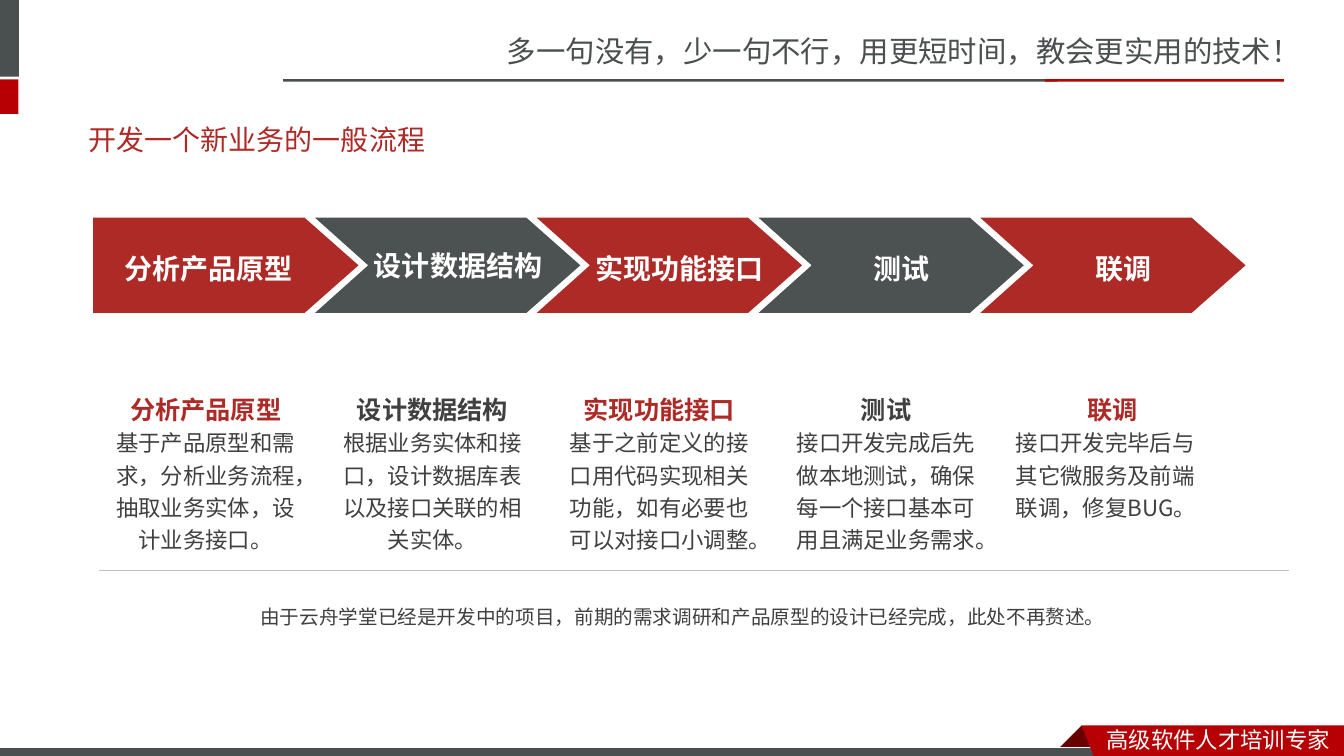
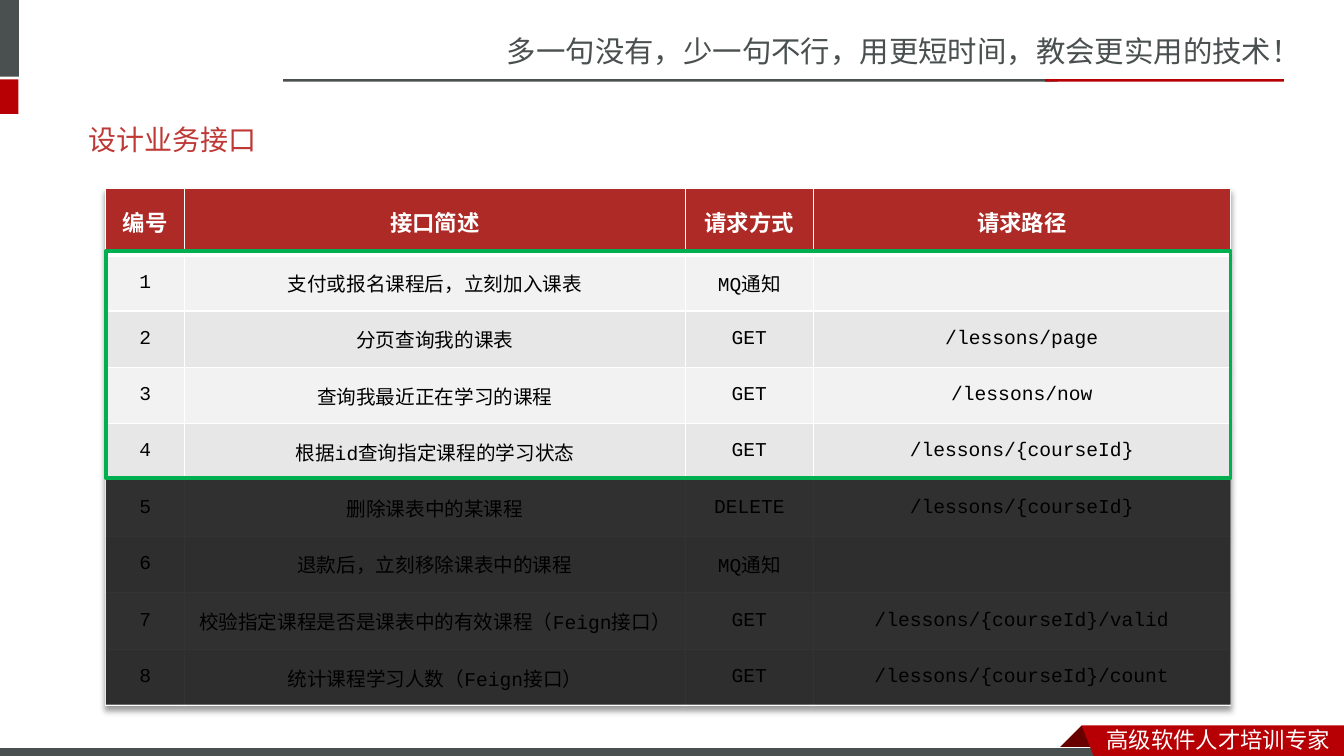
import dataclasses
import typing

import lxml.etree
import pptx
import pptx.dml.color
import pptx.enum.lang
import pptx.enum.shapes
import pptx.enum.text
import pptx.oxml.ns
import pptx.util

Pt = pptx.util.Pt
qn = pptx.oxml.ns.qn
ALIGN = pptx.enum.text.PP_ALIGN
ANCHOR = pptx.enum.text.MSO_ANCHOR

RED, GRAY, INK = "AD2A26", "4C5252", "404040"
SLATE, CRIMSON, MAROON = "49504F", "B60004", "680000"
WHITE, BLACK, SILVER, GREEN = "FFFFFF", "000000", "BFBFBF", "00B050"
PALE, DIM = "F2F2F2", "E7E7E7"
SC, JP, LATO, MONO = "Noto Sans CJK SC", "Noto Sans CJK JP", "Lato", "Courier New"


class Box(typing.NamedTuple):
    left: float
    top: float
    width: float
    height: float

    def emu(self) -> list[int]:
        return [Pt(side) for side in self]


class Bar(typing.NamedTuple):
    box: Box
    fill: str
    line: str | None = None


@dataclasses.dataclass
class Step:
    name: str
    note: str
    align: typing.Any = ALIGN.CENTER
    space: float = 1.2


class Call(typing.NamedTuple):
    brief: str
    verb: str
    route: str = ""


BARS = [
    Bar(Box(-4.5, 0, 18, 54.8), SLATE),
    Bar(Box(-4.5, 56.8, 17.6, 24.6), CRIMSON),
    Bar(Box(202.3, 56.6, 553, 1.7), SLATE),
    Bar(Box(746.5, 56.6, 170.5, 1.7), CRIMSON),
]
FOOT = Bar(Box(-0.7, 533.6, 792, 8.6), SLATE, WHITE)
FOLD = [(772.6, 518.2), (788.4, 534.2), (787.7, 535), (757.4, 535), (756.7, 534.2)]
RIBBON = [(772.6, 518.2), (960, 518.2), (960, 542.8), (782, 542.2)]

STEPS = [
    Step("分析产品原型", "基于产品原型和需求，分析业务流程，抽取业务实体，设计业务接口。"),
    Step("设计数据结构", "根据业务实体和接口，设计数据库表以及接口关联的相关实体。", space=1),
    Step("实现功能接口", "基于之前定义的接口用代码实现相关功能，如有必要也可以对接口小调整。"),
    Step("测试", "接口开发完成后先做本地测试，确保每一个接口基本可用且满足业务需求。"),
    Step("联调", "接口开发完毕后与其它微服务及前端联调，修复BUG。", ALIGN.LEFT),
]

HEADS = ["编号", "接口简述", "请求方式", "请求路径"]
CALLS = [
    Call("支付或报名课程后，立刻加入课表", "MQ通知"),
    Call("分页查询我的课表", "GET", "/lessons/page"),
    Call("查询我最近正在学习的课程", "GET", "/lessons/now"),
    Call("根据id查询指定课程的学习状态", "GET", "/lessons/{courseId}"),
    Call("删除课表中的某课程", "DELETE", "/lessons/{courseId}"),
    Call("退款后，立刻移除课表中的课程", "MQ通知"),
    Call("校验指定课程是否是课表中的有效课程（Feign接口）", "GET", "/lessons/{courseId}/valid"),
    Call("统计课程学习人数（Feign接口）", "GET", "/lessons/{courseId}/count"),
]


def color(code: str) -> pptx.dml.color.RGBColor:
    return pptx.dml.color.RGBColor.from_string(code)


def style(shape, fill: str | None, line: str | None = None, weight: float = 0.75) -> None:
    shape.shadow.inherit = False
    if fill:
        shape.fill.solid()
        shape.fill.fore_color.rgb = color(fill)
    else:
        shape.fill.background()
    if line:
        shape.line.color.rgb = color(line)
        shape.line.width = Pt(weight)
    else:
        shape.line.fill.background()


def rect(slide, box: Box, fill: str | None, line: str | None = None, weight: float = 0.75):
    shape = slide.shapes.add_shape(pptx.enum.shapes.MSO_SHAPE.RECTANGLE, *box.emu())
    style(shape, fill, line, weight)
    return shape


def outline(slide, dots: list[tuple[float, float]], fill: str) -> None:
    first, *rest = [(Pt(x), Pt(y)) for x, y in dots]
    maker = slide.shapes.build_freeform(*first)
    maker.add_line_segments(rest)
    style(maker.convert_to_shape(), fill)


def write(frame, text: str, *, size: float, font: str, ink: str, bold: bool = False,
          align=ALIGN.LEFT, space: float = 1, more: bool = False) -> None:
    """Fill the first paragraph, or add one when more is set."""
    para = frame.add_paragraph() if more else frame.paragraphs[0]
    para.alignment = align
    para.line_spacing = space
    run = para.add_run()
    run.text = text
    run.font.size = Pt(size)
    run.font.bold = bold
    run.font.name = font
    run.font.color.rgb = color(ink)
    run.font.language_id = pptx.enum.lang.MSO_LANGUAGE_ID.SIMPLIFIED_CHINESE
    latin = run.font._element.find(qn("a:latin"))
    east = lxml.etree.Element(qn("a:ea"), typeface=SC if font in (LATO, MONO) else font)
    latin.addnext(east)


def label(slide, box: Box, anchor=ANCHOR.TOP):
    frame = slide.shapes.add_textbox(*box.emu()).text_frame
    frame.word_wrap = True
    frame.vertical_anchor = anchor
    return frame


def start(deck, title: str, ink: str):
    """Add a slide with the shared bands, slogan, footer and title."""
    slide = deck.slides.add_slide(deck.slide_layouts[6])
    write(label(slide, Box(355, 20.2, 605, 33.8)),
          "多一句没有，少一句不行，用更短时间，教会更实用的技术！", size=21, font=SC, ink=SLATE)
    for bar in BARS:
        rect(slide, *bar)
    outline(slide, FOLD, MAROON)
    rect(slide, *FOOT)
    outline(slide, RIBBON, CRIMSON)
    write(label(slide, Box(783.4, 514.8, 176.6, 26.6)), "高级软件人才培训专家",
          size=16, font=SC, ink=WHITE)
    write(label(slide, Box(56.2, 79.2, 842.4, 41), ANCHOR.MIDDLE), title,
          size=20, font=LATO, ink=ink)
    return slide


def arrow(slide, rank: int, step: Step) -> None:
    top, mid, base = 155.5, 189.5, 223.5
    left = 66.6 + 158.4 * rank
    notch = [(left + 38, mid)] if rank else []
    head = left + 151
    dots = [(left, top), (head, top), (head + 38.5, mid), (head, base), (left, base)]
    outline(slide, dots + notch, GRAY if rank % 2 else RED)
    box = Box(left + 22, 172, 160.5, 34.6) if rank else Box(66.2, 172, 165, 34.6)
    write(label(slide, box, ANCHOR.MIDDLE), step.name, size=20, font=JP, ink=WHITE,
          bold=True, align=ALIGN.CENTER, space=step.space)


def column(slide, rank: int, step: Step) -> None:
    frame = label(slide, Box(70.6 + 162 * rank, 273.6, 152.6, 125.3))
    write(frame, step.name, size=18, font=JP, ink=INK if rank % 2 else RED,
          bold=True, align=ALIGN.CENTER, space=1.2)
    write(frame, step.note, size=16, font=JP, ink=INK, align=step.align, space=1.2, more=True)


def flow(deck) -> None:
    slide = start(deck, "开发一个新业务的一般流程", RED)
    frame = label(slide, Box(94.3, 420.5, 787, 28.8))
    frame.margin_left = frame.margin_right = Pt(5)
    frame.margin_top = frame.margin_bottom = Pt(2.9)
    write(frame, "由于云舟学堂已经是开发中的项目，前期的需求调研和产品原型的设计已经完成，此处不再赘述。",
          size=14, font=JP, ink=INK, align=ALIGN.CENTER, space=1.5)
    rule = slide.shapes.add_connector(pptx.enum.shapes.MSO_CONNECTOR.STRAIGHT,
                                      Pt(70.6), Pt(407.5), Pt(921), Pt(407.5))
    rule.line.color.rgb = color(SILVER)
    rule.line.width = Pt(0.25)
    lxml.etree.SubElement(rule._element.spPr, qn("a:effectLst"))
    for rank, step in enumerate(STEPS):
        arrow(slide, rank, step)
        column(slide, rank, step)


def border(cell, row: int) -> None:
    props = cell._tc.get_or_add_tcPr()
    for side in "LRTB":
        thick = (row, side) in ((0, "B"), (1, "T"))
        line = lxml.etree.SubElement(props, qn(f"a:ln{side}"), w=str(Pt(3 if thick else 1)))
        fill = lxml.etree.SubElement(line, qn("a:solidFill"))
        lxml.etree.SubElement(fill, qn("a:srgbClr"), val=WHITE)


def shade(table) -> None:
    """Give the table a soft shadow below."""
    effect = lxml.etree.Element(qn("a:effectLst"))
    table._tbl.tblPr.insert(0, effect)
    cast = lxml.etree.SubElement(effect, qn("a:outerShdw"), blurRad=str(Pt(4)),
                                 dist=str(Pt(3)), dir="5400000", rotWithShape="0")
    tint = lxml.etree.SubElement(cast, qn("a:srgbClr"), val=BLACK)
    lxml.etree.SubElement(tint, qn("a:alpha"), val="40000")


def grid(slide, box: Box) -> None:
    rows = [HEADS] + [[str(rank), *call] for rank, call in enumerate(CALLS, 1)]
    table = slide.shapes.add_table(len(rows), len(HEADS), *box.emu()).table
    shade(table)
    for col, width in zip(table.columns, (56.2, 357.8, 91.4, 298)):
        col.width = Pt(width)
    for row, texts in enumerate(rows):
        table.rows[row].height = Pt(40.2 if row else 47.2)
        for col, text in enumerate(texts):
            cell = table.cell(row, col)
            border(cell, row)
            cell.fill.solid()
            cell.fill.fore_color.rgb = color((PALE if row % 2 else DIM) if row else RED)
            cell.vertical_anchor = ANCHOR.MIDDLE
            if text:
                write(cell.text_frame, text, size=14 if row else 16, font=MONO,
                      ink=BLACK if row else WHITE, bold=not row, align=ALIGN.CENTER)


def routes(deck) -> None:
    slide = start(deck, "设计业务接口", "BE3936")
    area = Box(75.6, 134.8, 803.4, 368.8)
    half = 162
    grid(slide, area)
    veil = rect(slide, area._replace(top=341.4, height=half), BLACK)
    tint = veil._element.spPr.find(qn("a:solidFill")).find(qn("a:srgbClr"))
    lxml.etree.SubElement(tint, qn("a:alpha"), val="80000")
    rect(slide, area._replace(top=341.4 - half, height=half), None, GREEN, 2.5)


def main() -> None:
    deck = pptx.Presentation()
    deck.slide_width, deck.slide_height = Pt(960), Pt(540)
    flow(deck)
    routes(deck)
    deck.save("out.pptx")


if __name__ == "__main__":
    main()
